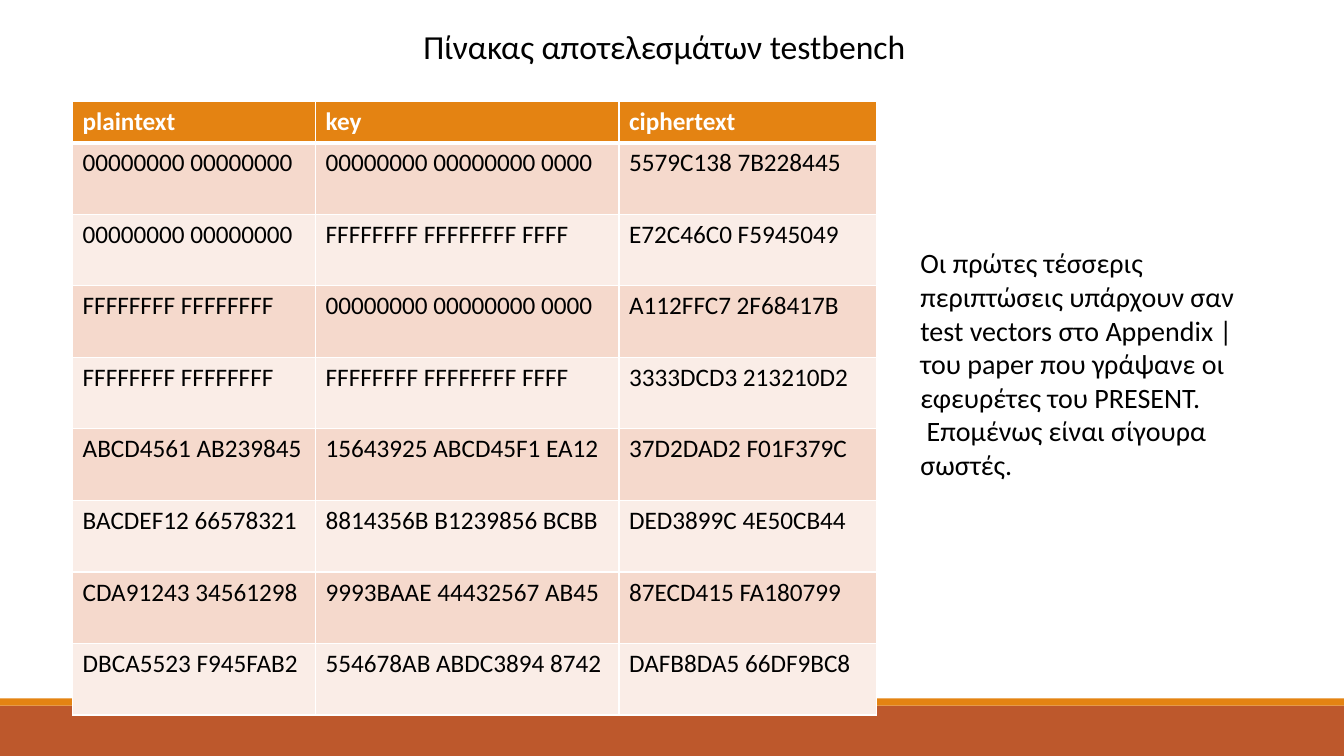
import pptx
import pptx.util
import pptx.dml.color
import pptx.enum.shapes
import pptx.oxml
import pptx.oxml.ns

Inches, Pt = pptx.util.Inches, pptx.util.Pt
RGBColor = pptx.dml.color.RGBColor

TITLE = "Πίνακας αποτελεσμάτων testbench"
REMARKS = [
    "Οι πρώτες τέσσερις περιπτώσεις υπάρχουν σαν test vectors στο Appendix | "
    "του paper που γράψανε οι εφευρέτες του PRESENT.",
    " Επομένως είναι σίγουρα σωστές.",
]
RESULTS = [
    ("plaintext", "key", "ciphertext"),
    ("00000000 00000000", "00000000 00000000 0000", "5579C138 7B228445"),
    ("00000000 00000000", "FFFFFFFF FFFFFFFF FFFF", "E72C46C0 F5945049"),
    ("FFFFFFFF FFFFFFFF", "00000000 00000000 0000", "A112FFC7 2F68417B"),
    ("FFFFFFFF FFFFFFFF", "FFFFFFFF FFFFFFFF FFFF", "3333DCD3 213210D2"),
    ("ABCD4561 AB239845", "15643925 ABCD45F1 EA12", "37D2DAD2 F01F379C"),
    ("BACDEF12 66578321", "8814356B B1239856 BCBB", "DED3899C 4E50CB44"),
    ("CDA91243 34561298", "9993BAAE 44432567 AB45", "87ECD415 FA180799"),
    ("DBCA5523 F945FAB2", "554678AB ABDC3894 8742", "DAFB8DA5 66DF9BC8"),
]

FONT = "Calibri"
BLACK = RGBColor(0x00, 0x00, 0x00)
WHITE = RGBColor(0xFF, 0xFF, 0xFF)
ORANGE = RGBColor(0xE4, 0x83, 0x12)
RUST = RGBColor(0xBD, 0x58, 0x2C)
BANDS = [RGBColor(0xFA, 0xED, 0xE7), RGBColor(0xF5, 0xD9, 0xCC)]

WIDTH, HEIGHT = 13.33, 7.5
FOOTER, STRIPE = 0.5, 0.07
TABLE_LEFT, TABLE_TOP = 0.72, 1.01
COLUMNS = [2.41, 3.01, 2.55]
HEADER_ROW, RESULT_ROW = 0.4, 0.71


def set_font(paragraph, size, color=BLACK, bold=False):
    font = paragraph.font
    font.name, font.size, font.bold = FONT, Pt(size), bold
    font.color.rgb = color


def add_bar(slide, top, height, color):
    bar = slide.shapes.add_shape(
        pptx.enum.shapes.MSO_SHAPE.RECTANGLE,
        0, Inches(top), Inches(WIDTH), Inches(height))
    bar.shadow.inherit = False
    bar.fill.solid()
    bar.fill.fore_color.rgb = color
    bar.line.fill.background()


def add_text(slide, box, paragraphs, size):
    frame = slide.shapes.add_textbox(*map(Inches, box)).text_frame
    frame.word_wrap = True
    frame.text = "\n".join(paragraphs)
    for paragraph in frame.paragraphs:
        set_font(paragraph, size)


def add_borders(cell, bottom):
    properties = cell._tc.get_or_add_tcPr()
    for place, (side, points) in enumerate(
            [("lnL", 1), ("lnR", 1), ("lnT", 1), ("lnB", bottom)]):
        properties.insert(place, pptx.oxml.parse_xml(
            f'<a:{side} {pptx.oxml.ns.nsdecls("a")} w="{Pt(points)}">'
            f'<a:solidFill><a:srgbClr val="{WHITE}"/></a:solidFill></a:{side}>'))


def add_results(slide):
    heights = [HEADER_ROW] + [RESULT_ROW] * (len(RESULTS) - 1)
    table = slide.shapes.add_table(
        len(RESULTS), len(COLUMNS), Inches(TABLE_LEFT), Inches(TABLE_TOP),
        Inches(sum(COLUMNS)), Inches(sum(heights))).table
    for column, width in zip(table.columns, COLUMNS):
        column.width = Inches(width)
    for r, (row, height, values) in enumerate(zip(table.rows, heights, RESULTS)):
        row.height = Inches(height)
        header = r == 0
        for cell, value in zip(row.cells, values):
            cell.text = value
            set_font(cell.text_frame.paragraphs[0], 18,
                     WHITE if header else BLACK, header)
            cell.fill.solid()
            cell.fill.fore_color.rgb = ORANGE if header else BANDS[r % 2]
            add_borders(cell, 3 if header else 1)


def main():
    deck = pptx.Presentation()
    deck.slide_width, deck.slide_height = Inches(WIDTH), Inches(HEIGHT)
    slide = deck.slides.add_slide(deck.slide_layouts[6])
    add_bar(slide, HEIGHT - FOOTER, FOOTER, RUST)
    add_bar(slide, HEIGHT - FOOTER - STRIPE, STRIPE, ORANGE)
    add_results(slide)
    add_text(slide, (4.1, 0.21, 5.14, 0.5), [TITLE], 24)
    add_text(slide, (9.03, 2.39, 3.58, 2.46), REMARKS, 20)
    deck.save("out.pptx")


if __name__ == "__main__":
    main()
